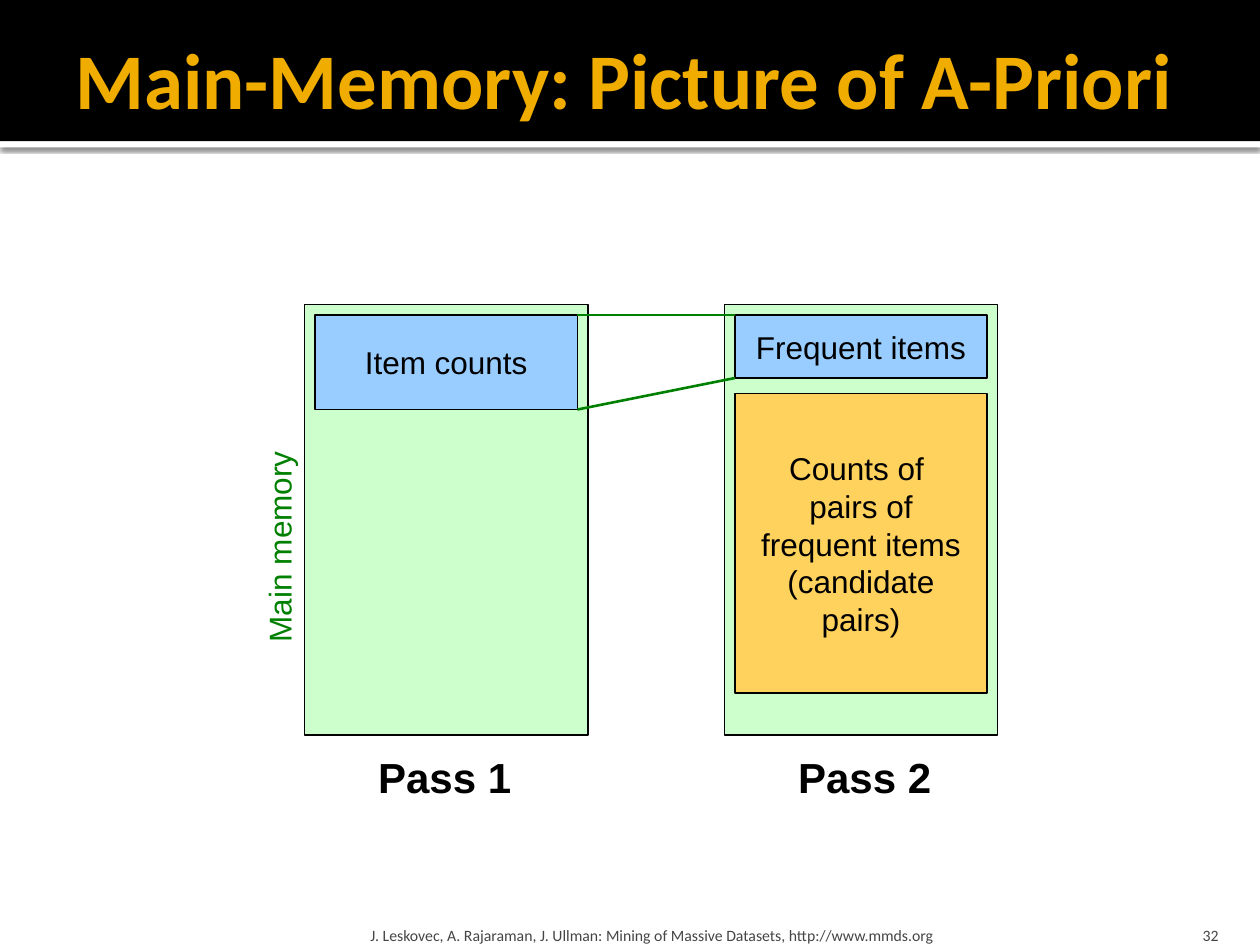
import pptx
import pptx.dml.color
import pptx.enum.shapes
import pptx.enum.text
import pptx.oxml
import pptx.oxml.ns
import pptx.util

Pt = pptx.util.Pt
ANCHOR = pptx.enum.text.MSO_ANCHOR
ALIGN = pptx.enum.text.PP_ALIGN

# Content
TITLE = "Main-Memory: Picture of A-Priori"
FOOTER = "J. Leskovec, A. Rajaraman, J. Ullman: Mining of Massive Datasets, http://www.mmds.org"
PAGE_NUMBER = "32"
MEMORY_LABEL = "Main memory"
# Blocks are (text, fill, top within the column, height, wrap)
PASSES = [
    {"label": "Pass 1", "left": 174, "width": 162,
     "blocks": [("Item counts", "items", 6, 54, False)]},
    {"label": "Pass 2", "left": 414, "width": 156,
     "blocks": [("Frequent items", "items", 6, 36, False),
                ("Counts of \vpairs of frequent items (candidate pairs)",
                 "pairs", 51, 171, True)]},
]

THEME = {
    "color": {"title": "F0AD00", "band": "000000", "strip": "FFFFFF",
              "memory": "CCFFCC", "items": "99CCFF", "pairs": "FFD25D",
              "text": "000000", "accent": "008000", "footer": "454545"},
    "size": {"title": 45, "label": 24, "block": 18, "footer": 9},
    "heading_font": "Calibri", "body_font": "Arial",
}

# Layout
SLIDE = (720, 540)
BAND_HEIGHT, STRIP_HEIGHT = 80.64, 3.6
COLUMN_TOP, COLUMN_HEIGHT, PADDING = 174, 246, 6
LABEL_OFFSET, LABEL_TOP = 35, 426
FOOTER_TOP, FOOTER_HEIGHT = 518.4, 21.6


def color(name):
    return pptx.dml.color.RGBColor.from_string(THEME["color"][name])


def write(shape, text, size, ink, font="body_font", bold=False, align=ALIGN.LEFT,
          anchor=ANCHOR.TOP, wrap=True, insets=(7.2, 3.6, 7.2, 3.6)):
    frame = shape.text_frame
    frame.text = text
    frame.word_wrap = wrap
    frame.vertical_anchor = anchor
    frame.auto_size = pptx.enum.text.MSO_AUTO_SIZE.NONE
    (frame.margin_left, frame.margin_top,
     frame.margin_right, frame.margin_bottom) = map(Pt, insets)
    para = frame.paragraphs[0]
    para.alignment = align
    for span in para.runs:
        span.font.name = THEME[font]
        span.font.size = Pt(THEME["size"][size])
        span.font.bold = bold
        span.font.color.rgb = color(ink)


def add_rectangle(page, place, fill, outlined=True):
    box = page.shapes.add_shape(pptx.enum.shapes.MSO_SHAPE.RECTANGLE, *map(Pt, place))
    box.shadow.inherit = False
    box.fill.solid()
    box.fill.fore_color.rgb = color(fill)
    if outlined:
        box.line.color.rgb = color("text")
        box.line.width = Pt(0.75)
    else:
        box.line.fill.background()
    return box


def add_label(page, place, *args, **options):
    box = page.shapes.add_textbox(*map(Pt, place))
    write(box, *args, **options)
    return box


def add_line(page, start, end):
    line = page.shapes.add_connector(pptx.enum.shapes.MSO_CONNECTOR.STRAIGHT,
                                     *map(Pt, start + end))
    line.line.color.rgb = color("accent")
    line.line.width = Pt(1.5)
    line.element.spPr.append(pptx.oxml.parse_xml(
        f'<a:effectLst {pptx.oxml.ns.nsdecls("a")}/>'))


def add_header(page):
    title = page.shapes.title
    title.left, title.top, title.width, title.height = map(Pt, (36, 5.76, 666, 77.76))
    write(title, TITLE, "title", "title", "heading_font", True,
          anchor=ANCHOR.MIDDLE, insets=(7.2, 3.6, 3.6, 3.6))
    strip = add_rectangle(page, (0, BAND_HEIGHT, SLIDE[0], STRIP_HEIGHT), "strip", False)
    band = add_rectangle(page, (0, 0, SLIDE[0], BAND_HEIGHT), "band", False)
    # Soft shadow under the white strip
    effects = strip.element.spPr.find(pptx.oxml.ns.qn("a:effectLst"))
    effects.append(pptx.oxml.parse_xml(
        f'<a:outerShdw {pptx.oxml.ns.nsdecls("a")} blurRad="{Pt(2.5)}" '
        f'dist="{Pt(0.8)}" dir="5400000" algn="t" rotWithShape="0">'
        '<a:srgbClr val="000000"><a:alpha val="60000"/></a:srgbClr></a:outerShdw>'))
    # The bands lie behind the title
    for backdrop in (strip, band):
        title.element.addprevious(backdrop.element)


def add_passes(page):
    for column in PASSES:
        left, width = column["left"], column["width"]
        add_rectangle(page, (left, COLUMN_TOP, width, COLUMN_HEIGHT), "memory")
        for text, fill, top, height, wrap in column["blocks"]:
            block = add_rectangle(page, (left + PADDING, COLUMN_TOP + top,
                                         width - 2 * PADDING, height), fill)
            write(block, text, "block", "text", align=ALIGN.CENTER,
                  anchor=ANCHOR.MIDDLE, wrap=wrap)
        add_label(page, (left + LABEL_OFFSET, LABEL_TOP, 91.4, 36),
                  column["label"], "label", "text", bold=True, wrap=False)

    # Lines join the right corners of the counts to the left of the frequent items
    first, second = PASSES
    start = first["left"] + first["width"] - PADDING
    end = second["left"] + PADDING
    _, _, top, first_height, _ = first["blocks"][0]
    second_height = second["blocks"][0][3]
    for drop_start, drop_end in ((0, 0), (first_height, second_height)):
        add_line(page, (start, COLUMN_TOP + top + drop_start),
                 (end, COLUMN_TOP + top + drop_end))

    memory = add_label(page, (97.2, 297.36, 124.56, 28.8), MEMORY_LABEL,
                       "block", "accent", wrap=False)
    memory.rotation = 270


def add_footer(page):
    add_label(page, (208, FOOTER_TOP, 433.4, FOOTER_HEIGHT), FOOTER, "footer", "footer",
              "heading_font", anchor=ANCHOR.BOTTOM, insets=(3.6, 3.6, 3.6, 0))
    add_label(page, (645.84, FOOTER_TOP, 57.6, FOOTER_HEIGHT), PAGE_NUMBER, "footer",
              "footer", "heading_font", align=ALIGN.RIGHT, anchor=ANCHOR.BOTTOM,
              insets=(7.2, 3.6, 7.2, 0))


def main():
    deck = pptx.Presentation()
    deck.slide_width, deck.slide_height = map(Pt, SLIDE)
    page = deck.slides.add_slide(deck.slide_layouts.get_by_name("Title Only"))
    add_header(page)
    add_passes(page)
    add_footer(page)
    deck.save("out.pptx")


if __name__ == "__main__":
    main()
